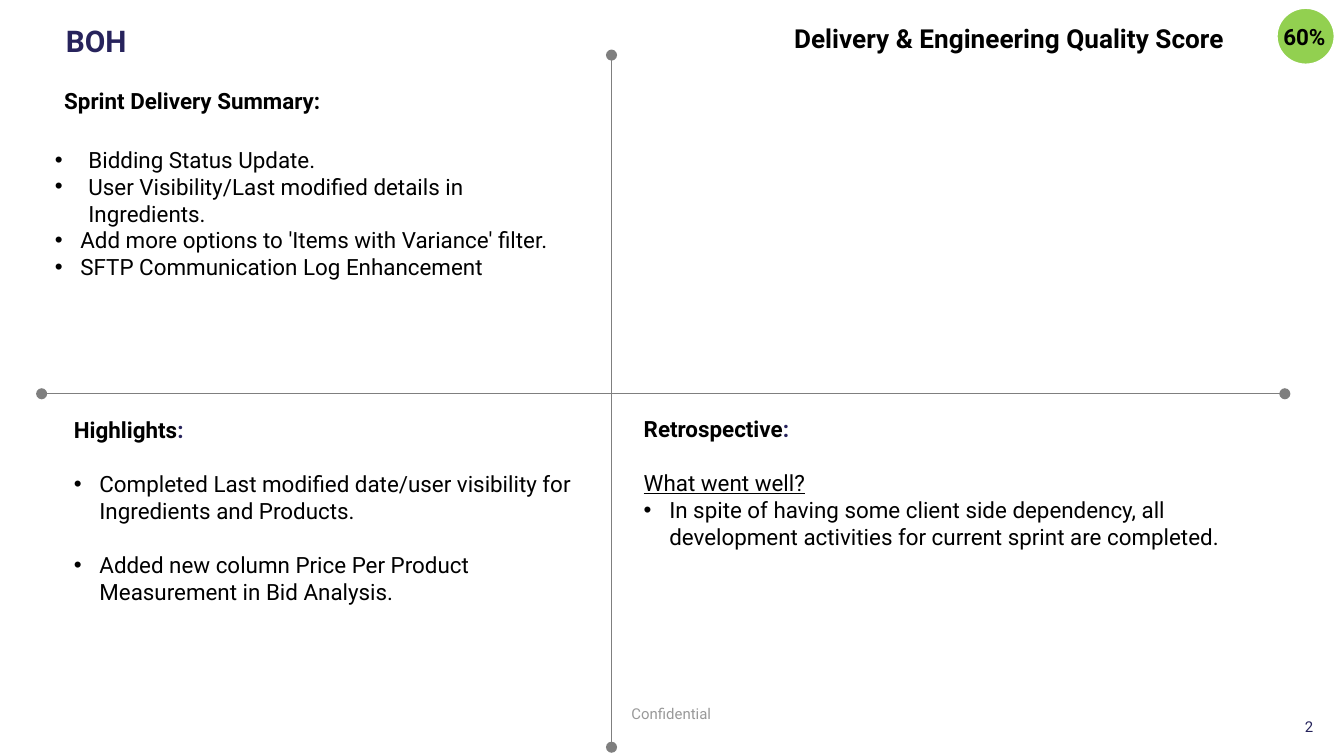
from dataclasses import dataclass
from lxml.etree import SubElement
from pptx import Presentation
from pptx.dml.color import RGBColor
from pptx.enum.shapes import MSO_CONNECTOR, MSO_SHAPE
from pptx.enum.text import MSO_ANCHOR, MSO_AUTO_SIZE, PP_ALIGN
from pptx.oxml.ns import qn
from pptx.util import Inches, Pt


@dataclass(frozen=True)
class Theme:
    font: str = "Roboto"
    ink: str = "000000"
    navy: str = "27235C"
    page: str = "25235B"
    axis: str = "7F7F7F"
    pale: str = "999999"
    green: str = "92D050"
    white: str = "FFFFFF"
    title: int = 16
    score: int = 14
    body: int = 12
    small: int = 8


THEME = Theme()
GAP = 14.5


def color(code):
    return RGBColor.from_string(code)


def style(par, size=THEME.body, code=THEME.ink, bold=False):
    font = par.font
    font.name = THEME.font
    font.size = Pt(size)
    font.bold = bold
    font.color.rgb = color(code)


def frame(shape, pad=(0, 0), anchor=MSO_ANCHOR.TOP):
    text = shape.text_frame
    text.word_wrap = True
    text.auto_size = MSO_AUTO_SIZE.NONE
    text.vertical_anchor = anchor
    text.margin_left = text.margin_right = Inches(pad[0])
    text.margin_top = text.margin_bottom = Inches(pad[1])
    return text


def add_box(slide, area, pad=(0, 0), anchor=MSO_ANCHOR.TOP):
    return frame(slide.shapes.add_textbox(*map(Inches, area)), pad, anchor)


def add_label(slide, area, words, size, code=THEME.ink, bold=False,
              align=PP_ALIGN.LEFT, pad=(0.1, 0.05), anchor=MSO_ANCHOR.TOP):
    par = add_box(slide, area, pad, anchor).paragraphs[0]
    par.text = words
    par.alignment = align
    style(par, size, code, bold)


def add_head(text, words, mark=""):
    par = text.paragraphs[0]
    par.add_run().text = words
    if mark:
        run = par.add_run()
        run.text = mark
        run.font.color.rgb = color(THEME.navy)
    style(par, bold=True)
    return par


def add_line(text, words, gap=0):
    par = text.add_paragraph()
    par.text = words
    par.space_before = Pt(gap)
    style(par)
    return par


def add_bullet(text, words, gap=0, indent=0.19):
    par = text.add_paragraph()
    par.text = words
    par.space_before = Pt(gap)
    props = par._p.get_or_add_pPr()
    props.set("marL", str(Inches(indent)))
    props.set("indent", str(-Inches(indent)))
    tint = SubElement(props, qn("a:buClr"))
    SubElement(tint, qn("a:srgbClr"), val=THEME.ink)
    SubElement(props, qn("a:buFont"), typeface="Arial")
    SubElement(props, qn("a:buChar"), char="•")
    style(par)


def add_axis(slide, start, end):
    line = slide.shapes.add_connector(
        MSO_CONNECTOR.STRAIGHT, *map(Inches, start + end))
    line.line.color.rgb = color(THEME.axis)
    line.line.width = Pt(0.75)
    stroke = line.line._get_or_add_ln()
    for tag in ("a:headEnd", "a:tailEnd"):
        SubElement(stroke, qn(tag), type="oval")
    SubElement(line._element.spPr, qn("a:effectLst"))


def add_title(slide, words):
    title = slide.shapes.title
    title.left, title.top, title.width, title.height = map(
        Inches, (0.39, 0.08, 4.07, 0.41))
    par = frame(title, (0.1, 0.05)).paragraphs[0]
    par.text = words
    par.alignment = PP_ALIGN.LEFT
    par.line_spacing = 1.15
    style(par, THEME.title, THEME.navy, True)


def add_score(slide):
    disc = slide.shapes.add_shape(
        MSO_SHAPE.OVAL, *map(Inches, (9.5, 0.06, 0.43, 0.42)))
    disc.shadow.inherit = False
    disc.fill.solid()
    disc.fill.fore_color.rgb = color(THEME.green)
    disc.line.color.rgb = color(THEME.white)
    disc.line.width = Pt(1)
    add_label(slide, (9.45, 0.12, 0.76, 0.3), "60%", THEME.body, bold=True)
    add_label(slide, (5.81, 0.12, 3.75, 0.34),
              "Delivery & Engineering Quality Score", THEME.score, bold=True)


def add_summary(slide):
    text = add_box(slide, (0.31, 0.57, 4.04, 1.81), (0.1, 0.05))
    head = add_head(text, "Sprint Delivery Summary:")
    head.line_spacing = 1.15
    head._p.get_or_add_pPr().set("marL", str(Inches(0.07)))
    add_bullet(text, "Bidding Status Update.", 17, 0.25)
    add_bullet(text, "User Visibility/Last modified details in Ingredients.",
               indent=0.25)
    add_bullet(text, "Add more options to 'Items with Variance' filter.")
    add_bullet(text, "SFTP Communication Log Enhancement")


def add_highlights(slide):
    text = add_box(slide, (0.55, 3.1, 3.76, 1.8))
    add_head(text, "Highlights", ":")
    for words in (
        "Completed Last modified date/user visibility for "
        "Ingredients and Products.",
        "Added new column Price Per Product Measurement in Bid Analysis.",
    ):
        add_bullet(text, words, GAP)


def add_retro(slide):
    text = add_box(slide, (4.79, 3.09, 4.86, 1.8))
    add_head(text, "Retrospective", ":")
    add_line(text, "What went well?", GAP).font.underline = True
    add_bullet(text, "In spite of having some client side dependency, all "
               "development activities for current sprint are completed.")


def add_footer(slide):
    add_label(slide, (4.12, 5.18, 1.75, 0.26), "Confidential", THEME.small,
              THEME.pale, align=PP_ALIGN.CENTER, pad=(0, 0),
              anchor=MSO_ANCHOR.MIDDLE)
    add_label(slide, (9.27, 5.26, 0.6, 0.3), "2", THEME.small, THEME.page,
              align=PP_ALIGN.RIGHT, pad=(0.1, 0.1), anchor=MSO_ANCHOR.MIDDLE)


def main():
    deck = Presentation()
    deck.slide_width = Inches(10)
    deck.slide_height = deck.slide_width * 9 // 16
    slide = deck.slides.add_slide(deck.slide_layouts[5])
    add_footer(slide)
    add_axis(slide, (9.56, 2.93), (0.31, 2.93))
    add_axis(slide, (4.55, 0.41), (4.55, 5.56))
    add_title(slide, "BOH")
    add_highlights(slide)
    add_summary(slide)
    add_retro(slide)
    add_score(slide)
    deck.save("out.pptx")


if __name__ == "__main__":
    main()
